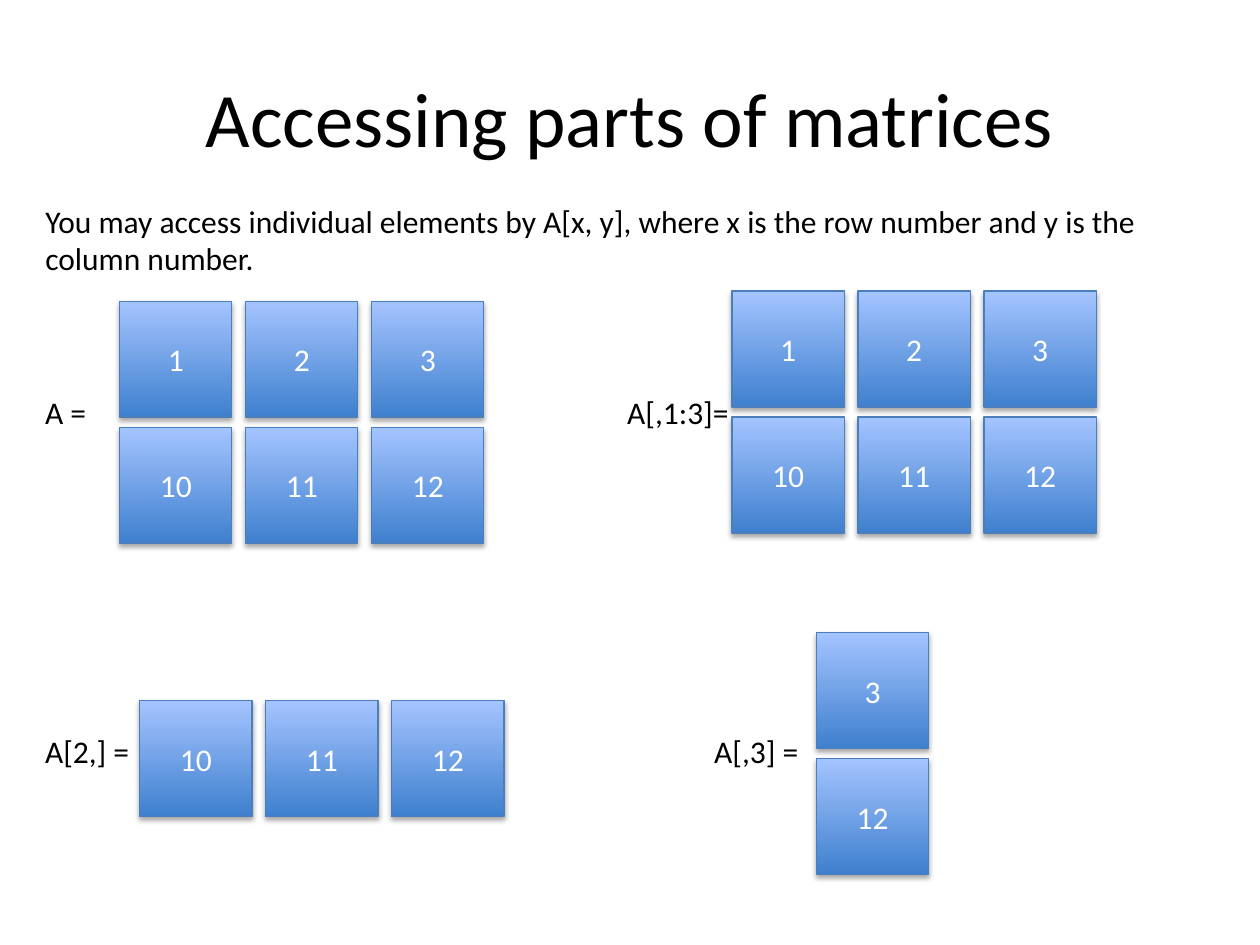
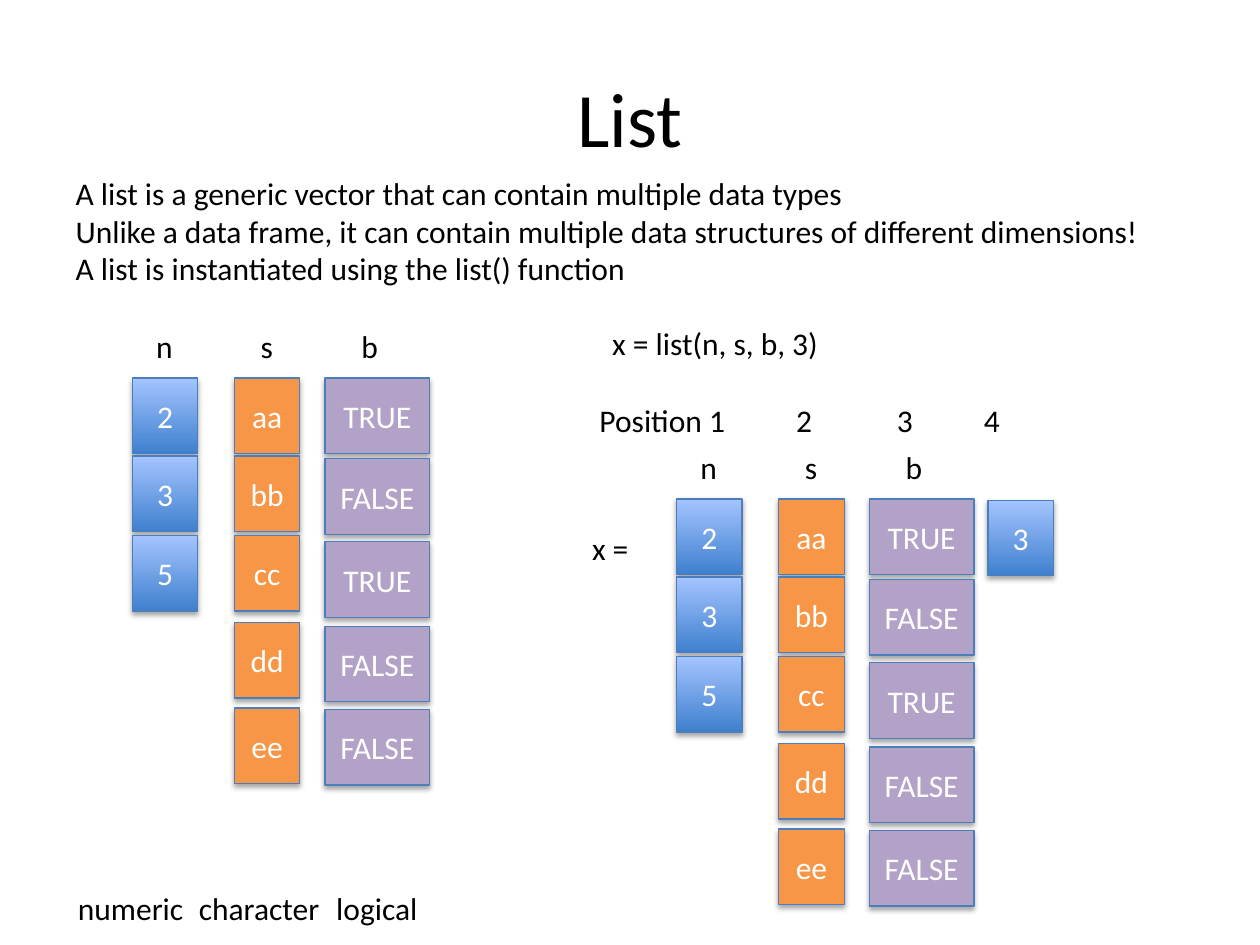
from lxml import etree
from pptx import Presentation
from pptx.dml.color import RGBColor
from pptx.enum.shapes import MSO_SHAPE
from pptx.enum.text import MSO_ANCHOR, MSO_AUTO_SIZE, PP_ALIGN
from pptx.oxml.ns import qn
from pptx.util import Inches, Pt

LEFT, CENTER = PP_ALIGN.LEFT, PP_ALIGN.CENTER
TOP, MIDDLE = MSO_ANCHOR.TOP, MSO_ANCHOR.MIDDLE
RECTANGLE = MSO_SHAPE.RECTANGLE
NO_AUTOFIT = MSO_AUTO_SIZE.NONE

COLORS = {
    "text": "000000",
    "cell_text": "FFFFFF",
    "cell_line": "4B7EBC",
    "blue_bottom": "3F80CE",
    "blue_top": "A4C4FF",
    "orange": "F79646",
    "purple": "B3A2C7",
    "shadow": "000000",
}
FONT = "Calibri"
GRID_COLUMNS, GRID_ROWS = 10, 7.5
UNIT = Inches(1)  # one grid column or row
LABEL_HEIGHT = 0.4


def write_text(shape, text, *, size=18, color="text", align=LEFT, anchor=TOP, wrap=True):
    """Fill a shape with unbulleted paragraphs, one per line."""
    frame = shape.text_frame
    frame.text = text
    frame.auto_size = NO_AUTOFIT
    frame.word_wrap = wrap
    frame.vertical_anchor = anchor
    for paragraph in frame.paragraphs:
        paragraph.alignment = align
        paragraph.space_before = Pt(0)
        properties = paragraph._p.get_or_add_pPr()
        properties.set("marL", "0")
        properties.set("indent", "0")
        etree.SubElement(properties, qn("a:buNone"))
        for run in paragraph.runs:
            run.font.name = FONT
            run.font.size = Pt(size)
            run.font.color.rgb = RGBColor.from_string(COLORS[color])


def add_cell(slide, text, left, top, width, height, fill="blue"):
    """Add a shadowed value cell, placed in grid columns and rows."""
    cell = slide.shapes.add_shape(
        RECTANGLE, *(int(length * UNIT) for length in (left, top, width, height)))
    if fill == "blue":
        cell.fill.gradient()
        cell.fill.gradient_angle = 90
        for stop, name in zip(cell.fill.gradient_stops, ("blue_bottom", "blue_top")):
            stop.color.rgb = RGBColor.from_string(COLORS[name])
    else:
        cell.fill.solid()
        cell.fill.fore_color.rgb = RGBColor.from_string(COLORS[fill])
    cell.line.color.rgb = RGBColor.from_string(COLORS["cell_line"])
    cell.line.width = Pt(0.75)
    cell.shadow.inherit = False
    effects = cell._element.spPr.find(qn("a:effectLst"))
    shadow = etree.SubElement(effects, qn("a:outerShdw"), blurRad=str(Pt(3.1)),
                              dist=str(Pt(1.8)), dir="5400000", rotWithShape="0")
    shadow_color = etree.SubElement(shadow, qn("a:srgbClr"), val=COLORS["shadow"])
    etree.SubElement(shadow_color, qn("a:alpha"), val="35000")
    write_text(cell, text, color="cell_text", align=CENTER, anchor=MIDDLE)


presentation = Presentation()
presentation.slide_width = int(GRID_COLUMNS * UNIT)
presentation.slide_height = int(GRID_ROWS * UNIT)
title_and_body = presentation.slide_layouts[1]

# Titles and introductions: title, body text, body left, top, width, height
slide_texts = [
    ("Accessing parts of matrices",
     "You may access individual elements by A[x, y], where x is the row number "
     "and y is the column number.",
     (0.26, 1.55, 9.24, 0.71)),
    ("List",
     "A list is a generic vector that can contain multiple data types\n"
     "Unlike a data frame, it can contain multiple data structures of different "
     "dimensions!\n"
     "A list is instantiated using the list() function",
     (0.5, 1.33, 9, 1.01)),
]
slides = []
for title, introduction, body_area in slide_texts:
    slide = presentation.slides.add_slide(title_and_body)
    heading, body = slide.shapes.title, slide.placeholders[1]
    for placeholder, area in ((heading, (0.5, 0.3, 9, 1.25)), (body, body_area)):
        (placeholder.left, placeholder.top,
         placeholder.width, placeholder.height) = (int(length * UNIT) for length in area)
    write_text(heading, title, size=44, align=CENTER, anchor=MIDDLE)
    write_text(body, introduction)
    slides.append(slide)
matrix_slide, list_slide = slides

# Matrices: left, top, rows of values
MATRIX_PITCH = 1
full_matrix = [(1, 2, 3), (10, 11, 12)]
matrices = [
    (0.95, 2.39, full_matrix),
    (5.81, 2.31, full_matrix),
    (1.11, 5.56, full_matrix[1:]),
    (6.48, 5.02, [row[2:] for row in full_matrix]),
]
for left, top, rows in matrices:
    for row_index, row in enumerate(rows):
        for column_index, value in enumerate(row):
            add_cell(matrix_slide, str(value), left + column_index * MATRIX_PITCH,
                     top + row_index * MATRIX_PITCH, 0.89, 0.92)

# Vectors, shown alone and again as members of the list x
LIST_CELL_WIDTH, LIST_CELL_HEIGHT = 0.52, 0.6
LIST_SHIFT = (4.32, 0.96)
even_tops = (3, 3.62, 4.25, 4.94, 5.62)
logical_tops = (3, 3.64, 4.3, 4.97, 5.63)
vectors = [
    ("n", 1.14, 0.34, 1.05, LIST_CELL_WIDTH, "blue", even_tops, ("2", "3", "5")),
    ("s", 1.97, 0.3, 1.86, LIST_CELL_WIDTH, "orange", even_tops,
     ("aa", "bb", "cc", "dd", "ee")),
    ("b", 2.77, 0.34, 2.58, 0.83, "purple", logical_tops,
     ("TRUE", "FALSE", "TRUE", "FALSE", "FALSE")),
]
# Labels: slide, text, left, top, width
labels = [
    (matrix_slide, "A =", 0.26, 3.07, 0.59),
    (matrix_slide, "A[,1:3]=", 4.88, 3.07, 1.13),
    (matrix_slide, "A[2,] =", 0.26, 5.76, 0.93),
    (matrix_slide, "A[,3] =", 5.57, 5.76, 0.88),
    (list_slide, "numeric", 0.52, 7.01, 1.05),
    (list_slide, "character", 1.48, 7.01, 1.17),
    (list_slide, "logical", 2.57, 7.01, 0.85),
    (list_slide, "x = list(n, s, b, 3)", 4.76, 2.52, 1.86),
    (list_slide, "x =", 4.6, 4.15, 0.49),
]
positions = [("Position 1", 4.66, 1.2), ("2", 6.22, 0.33), ("3", 7.02, 0.33), ("4", 7.71, 0.33)]
for text, left, width in positions:
    labels.append((list_slide, text, left, 3.13, width))

for shift_x, shift_y in ((0, 0), LIST_SHIFT):
    for name, name_left, name_width, left, width, fill, tops, values in vectors:
        labels.append((list_slide, name, name_left + shift_x, 2.55 + shift_y, name_width))
        for top, value in zip(tops, values):
            add_cell(list_slide, value, left + shift_x, top + shift_y,
                     width, LIST_CELL_HEIGHT, fill)
add_cell(list_slide, "3", 7.84, 3.97, LIST_CELL_WIDTH, LIST_CELL_HEIGHT)

for slide, text, left, top, width in labels:
    label = slide.shapes.add_textbox(
        *(int(length * UNIT) for length in (left, top, width, LABEL_HEIGHT)))
    write_text(label, text, wrap=False)

presentation.save("out.pptx")
